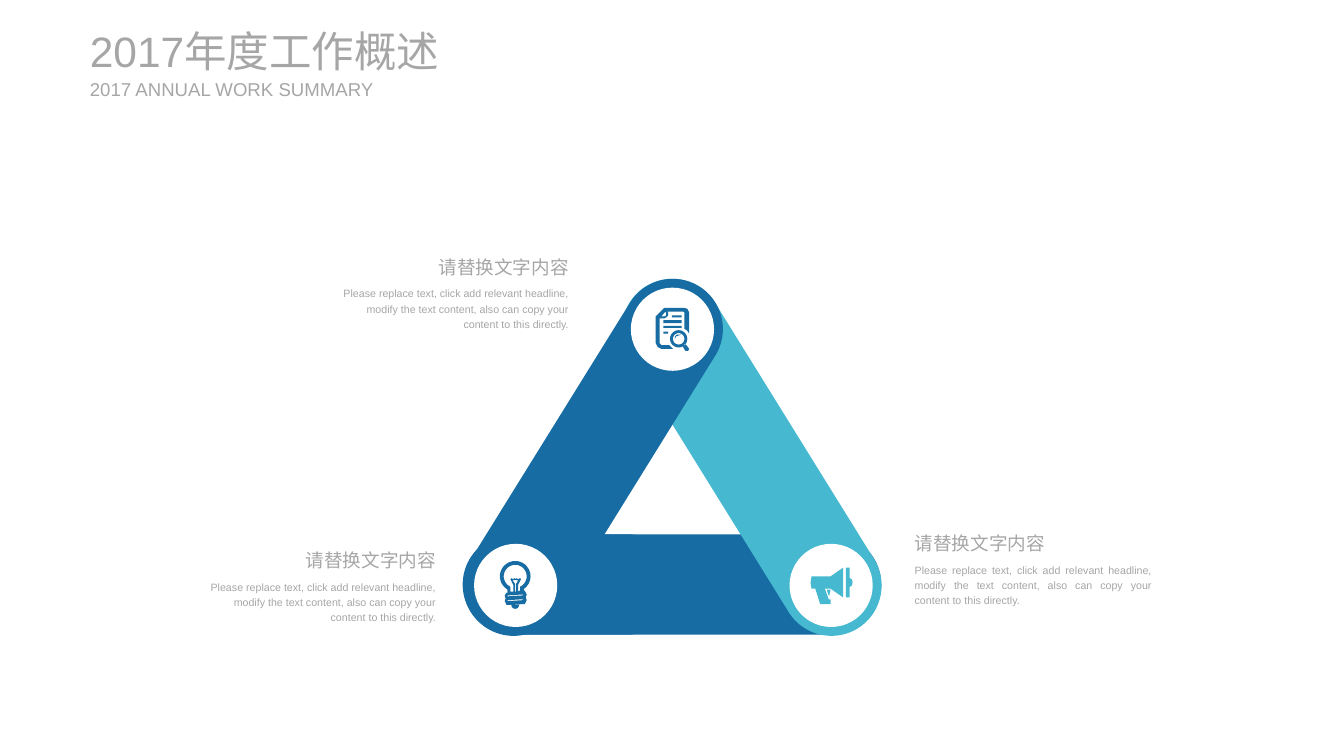
"""Build the annual work summary slide with its three-sided ribbon triangle."""
from dataclasses import dataclass
from math import cos, radians, sin

from pptx import Presentation
from pptx import util as u
from pptx.dml.color import RGBColor
from pptx.enum import shapes, text

Point = tuple[float, float]
Contour = list[Point]


@dataclass(frozen=True)
class Theme:
    """Colours, font and type sizes."""
    blue: str = "166CA3"
    teal: str = "46B9D0"
    white: str = "FFFFFF"
    grey: str = "A6A6A6"
    font: str = "Arial"
    title: int = 32
    heading: int = 14
    body: int = 8


@dataclass(frozen=True)
class Band:
    """One rounded side of the triangle."""
    left: float
    top: float
    width: float
    angle: float
    color: str


@dataclass(frozen=True)
class Icon:
    """A filled outline made of several contours."""
    color: str
    contours: list[Contour]


@dataclass(frozen=True)
class Callout:
    """A heading over a paragraph, set from the left or from the right."""
    left: float
    top: float
    width: float
    heading_width: float
    from_right: bool


THEME = Theme()
ALIGN = text.PP_ALIGN
BAND_HEIGHT = 1.05
DISC = 0.87
HEADING = "请替换文字内容"
BODY = ("Please replace text, click add relevant headline, modify the text "
        "content, also can copy your content to this directly.")

BANDS = [
    Band(4.86, 5.59, 4.36, 0, THEME.blue),
    Band(5.76, 4.26, 4.21, 58.2, THEME.teal),
    Band(4.1, 4.26, 4.21, 301.8, THEME.blue),
    Band(4.84, 5.59, 2.25, 0, THEME.blue),
]
DISCS: list[Point] = [(6.6, 3.01), (4.96, 5.69), (8.26, 5.69)]
CALLOUTS = [
    Callout(9.47, 5.47, 2.68, 1.61, False),
    Callout(3.46, 2.58, 2.59, 1.62, True),
    Callout(2.07, 5.65, 2.59, 1.79, True),
]


def arc(cx: float, cy: float, r: float, start: float = 0, end: float = 360) -> Contour:
    """Return points along a circular arc, angles in degrees clockwise."""
    steps = 36
    angles = [radians(start + (end - start) * i / steps) for i in range(steps + 1)]
    return [(cx + r * cos(a), cy + r * sin(a)) for a in angles]


def bar(left: float, top: float, right: float, bottom: float) -> Contour:
    """Return the corners of an upright rectangle."""
    return [(left, top), (right, top), (right, bottom), (left, bottom)]


def stripe(top: float) -> Contour:
    """Return a slanted slit across the bulb's socket."""
    return [(5.47, top), (5.31, top + 0.01), (5.31, top + 0.02), (5.47, top + 0.01)]


DOCUMENT = Icon(THEME.blue, [
    [(6.95, 3.22), (7.15, 3.22), (7.19, 3.23), (7.21, 3.27), (7.21, 3.49),
     (7.19, 3.46), (7.16, 3.44), (7.16, 3.27), (7.15, 3.26), (6.98, 3.26),
     (6.99, 3.27), (6.99, 3.3), (6.97, 3.32), (6.95, 3.33), (6.9, 3.33),
     (6.9, 3.59), (6.92, 3.61), (7, 3.61), (7.04, 3.65), (6.92, 3.65),
     (6.88, 3.63), (6.86, 3.59), (6.86, 3.31)],
    bar(6.94, 3.47, 6.99, 3.49),
    bar(6.94, 3.41, 7.13, 3.43),
    bar(6.94, 3.35, 7.13, 3.38),
    bar(7.03, 3.3, 7.13, 3.32),
    [(6.96, 3.26), (6.92, 3.31), (6.95, 3.31), (6.97, 3.3), (6.97, 3.28)],
    arc(7.1, 3.545, 0.09, 60, -330 + 30) +
    [(7.14, 3.62), (7.17, 3.67), (7.2, 3.67), (7.21, 3.65), (7.18, 3.61), (7.16, 3.6)],
    arc(7.1, 3.545, 0.06),
    [(7.06, 3.55), (7.07, 3.52), (7.13, 3.5), (7.08, 3.5), (7.06, 3.52)],
])
BULB = Icon(THEME.blue, [
    arc(5.39, 6.03, 0.16, 56, -239) +
    [(5.31, 6.2), (5.3, 6.2), (5.28, 6.23), (5.29, 6.26), (5.28, 6.29),
     (5.3, 6.33), (5.49, 6.32), (5.51, 6.28), (5.5, 6.25), (5.51, 6.22),
     (5.49, 6.18), (5.48, 6.18)],
    arc(5.39, 6.03, 0.12, 65, -245) +
    [(5.34, 6.19), (5.37, 6.19), (5.37, 6.12), (5.34, 6.06), (5.35, 6.05),
     (5.37, 6.06), (5.38, 6.05), (5.39, 6.06), (5.4, 6.05), (5.42, 6.06),
     (5.44, 6.05), (5.45, 6.06), (5.42, 6.12), (5.42, 6.19), (5.44, 6.18)],
    [(5.42, 6.07), (5.36, 6.07), (5.39, 6.11), (5.39, 6.19), (5.4, 6.19), (5.4, 6.11)],
    arc(5.39, 6.33, 0.04, 0, 180),
    stripe(6.22),
    stripe(6.27),
])
MEGAPHONE = Icon(THEME.teal, [
    [(8.49, 6.03), (8.69, 6.03), (8.82, 5.94), (8.82, 6.25), (8.69, 6.16),
     (8.63, 6.16), (8.67, 6.27), (8.69, 6.27), (8.69, 6.32), (8.58, 6.32),
     (8.53, 6.16), (8.49, 6.16), (8.48, 6.1)],
    [(8.89, 6.05), (8.91, 6.06), (8.92, 6.09), (8.91, 6.13), (8.89, 6.14),
     (8.89, 6.25), (8.85, 6.25), (8.85, 5.94), (8.89, 5.94)],
    [(8.69, 6.17), (8.65, 6.17), (8.67, 6.23), (8.68, 6.23), (8.68, 6.21)],
])


def paint(sp, color: str) -> None:
    """Fill a shape with one colour, without line or shadow."""
    sp.shadow.inherit = False
    sp.fill.solid()
    sp.fill.fore_color.rgb = RGBColor.from_string(color)
    sp.line.fill.background()


def add_band(s, band: Band) -> None:
    """Draw one side of the triangle."""
    sp = s.shapes.add_shape(
        shapes.MSO_SHAPE.ROUNDED_RECTANGLE, u.Inches(band.left), u.Inches(band.top),
        u.Inches(band.width), u.Inches(BAND_HEIGHT))
    sp.adjustments[0] = 0.5
    sp.rotation = band.angle
    paint(sp, band.color)


def add_disc(s, left: float, top: float) -> None:
    """Draw the white disc behind an icon."""
    sp = s.shapes.add_shape(shapes.MSO_SHAPE.OVAL, u.Inches(left), u.Inches(top),
                            u.Inches(DISC), u.Inches(DISC))
    paint(sp, THEME.white)


def add_icon(s, icon: Icon) -> None:
    """Draw an icon as a single freeform."""
    units = 1000
    scaled = [[(x * units, y * units) for x, y in c] for c in icon.contours]
    builder = s.shapes.build_freeform(*scaled[0][0], scale=u.Inches(1) / units)
    builder.add_line_segments(scaled[0][1:])
    for contour in scaled[1:]:
        builder.move_to(*contour[0])
        builder.add_line_segments(contour[1:])
    paint(builder.convert_to_shape(), icon.color)


def add_text(s, words: str, left: float, top: float, width: float, height: float,
             size: int, align: ALIGN = ALIGN.LEFT, spacing: float = 1.0):
    """Add a one-paragraph text box and return its frame."""
    box = s.shapes.add_textbox(*map(u.Inches, (left, top, width, height)))
    tf = box.text_frame
    tf.word_wrap = True
    p = tf.paragraphs[0]
    p.text, p.alignment, p.line_spacing = words, align, spacing
    p.font.name, p.font.size = THEME.font, u.Pt(size)
    p.font.color.rgb = RGBColor.from_string(THEME.grey)
    return tf


def add_title(s, words: str, top: float, width: float, height: float, size: int) -> None:
    """Add a title line without insets."""
    tf = add_text(s, words, 0.94, top, width, height, size)
    tf.margin_left = tf.margin_top = tf.margin_right = tf.margin_bottom = 0
    tf.vertical_anchor = text.MSO_ANCHOR.MIDDLE


def add_callout(s, c: Callout) -> None:
    """Add a heading and the paragraph under it."""
    left = c.left + c.width - c.heading_width if c.from_right else c.left
    add_text(s, HEADING, left, c.top, c.heading_width, 0.36, THEME.heading,
             ALIGN.RIGHT if c.from_right else ALIGN.LEFT, 1.2)
    add_text(s, BODY, c.left, c.top + 0.35, c.width, 0.57, THEME.body,
             ALIGN.RIGHT if c.from_right else ALIGN.JUSTIFY, 1.2)


def main() -> None:
    """Build and save the slide."""
    prs = Presentation()
    prs.slide_width, prs.slide_height = u.Inches(14.06), u.Inches(7.91)
    s = prs.slides.add_slide(prs.slide_layouts[6])
    for band in BANDS:
        add_band(s, band)
    for left, top in DISCS:
        add_disc(s, left, top)
    for icon in (DOCUMENT, BULB, MEGAPHONE):
        add_icon(s, icon)
    for callout in CALLOUTS:
        add_callout(s, callout)
    add_title(s, "2017年度工作概述", 0.26, 4.32, 0.54, THEME.title)
    add_title(s, "2017 ANNUAL WORK SUMMARY", 0.81, 3.07, 0.24, THEME.heading)
    prs.save("out.pptx")


if __name__ == "__main__":
    main()
